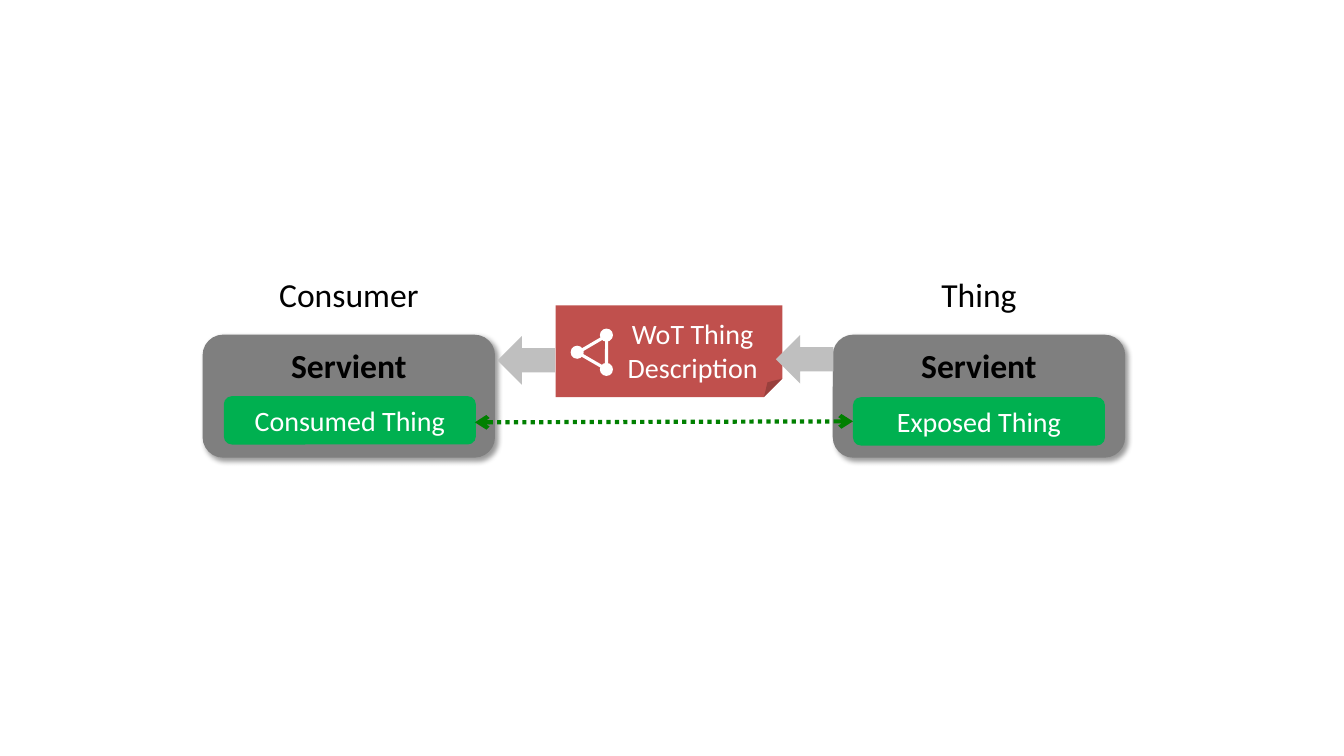
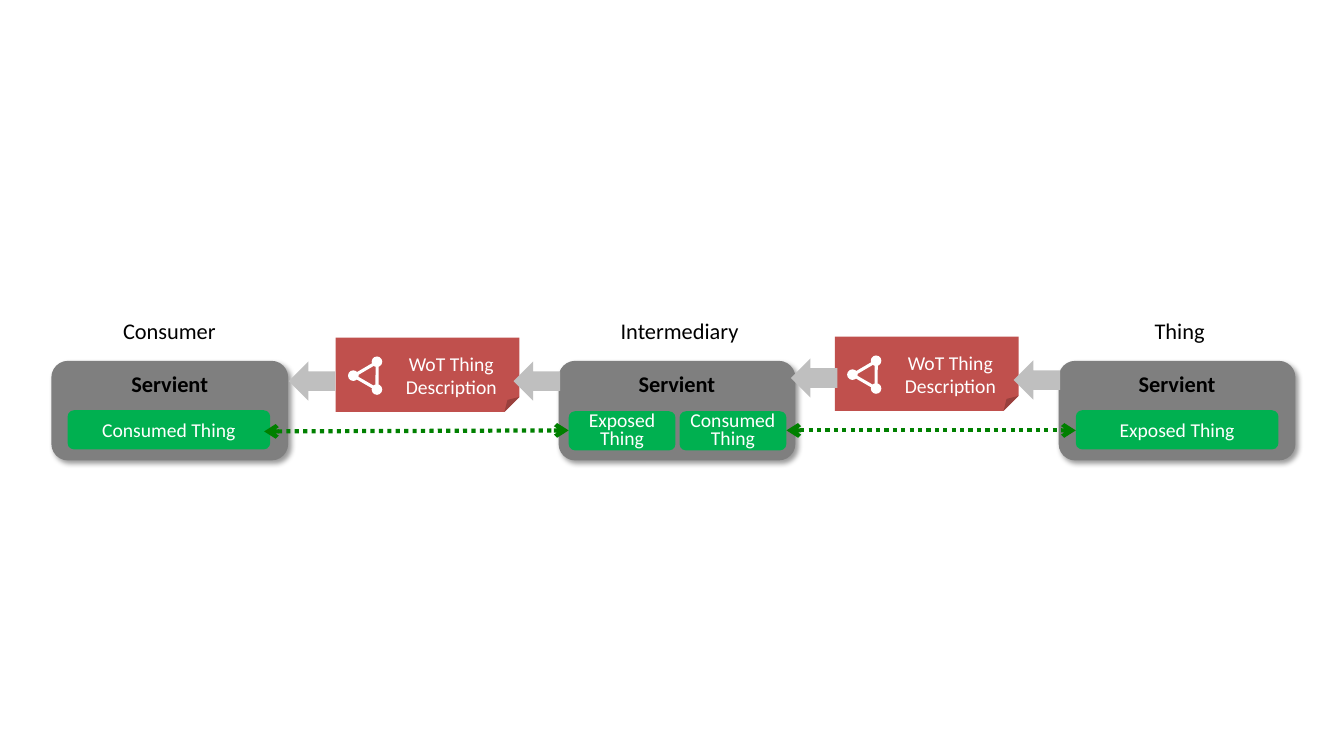
from dataclasses import dataclass
from typing import NamedTuple

from lxml.etree import SubElement
from pptx import Presentation
from pptx.dml.color import RGBColor
from pptx.enum.dml import MSO_LINE
from pptx.enum.shapes import MSO_CONNECTOR, MSO_SHAPE
from pptx.enum.text import MSO_ANCHOR, MSO_AUTO_SIZE, PP_ALIGN
from pptx.oxml.ns import qn
from pptx.util import Inches, Pt

FONT = "Calibri"
COLORS = {
    "servient": "7F7F7F",
    "thing": "00B050",
    "description": "C0504D",
    "arrow": "BFBFBF",
    "link": "008000",
    "light": "FFFFFF",
    "dark": "000000",
}

# Sizes at full scale, in inches
SERVIENT_SIZE = (2.9, 1.22)
THING_HEIGHT = 0.48
DESCRIPTION_SIZE = (2.25, 0.91)
ARROW_SIZE = (0.48, 0.57)
TRIANGLE = (0.27, 0.28, 0.33, 0.29)
DOT_SIZE = 0.13
DOTS = ((0.44, 0.23), (0.15, 0.4), (0.44, 0.57))


class Point(NamedTuple):
    x: float
    y: float


class Role(NamedTuple):
    label: str
    center: float
    width: float
    servient: Point


class Thing(NamedTuple):
    lines: tuple[str, ...]
    at: Point
    width: float


class Link(NamedTuple):
    start: Point
    end: Point


@dataclass
class Diagram:
    scale: float
    heading_size: int
    body_size: int
    label_top: float
    label_height: float
    roles: list[Role]
    things: list[Thing]
    links: list[Link]
    descriptions: list[Point]
    arrows: list[Point]


DIAGRAMS = [
    Diagram(
        scale=1, heading_size=24, body_size=20, label_top=2.67, label_height=0.5,
        roles=[
            Role("Consumer", 3.46, 1.6, Point(2.01, 3.32)),
            Role("Thing", 9.71, 0.96, Point(8.26, 3.32)),
        ],
        things=[
            Thing(("Consumed Thing",), Point(2.22, 3.93), 2.5),
            Thing(("Exposed Thing",), Point(8.46, 3.94), 2.5),
        ],
        links=[Link(Point(4.71, 4.19), Point(8.46, 4.18))],
        descriptions=[Point(5.51, 3.03)],
        arrows=[Point(7.74, 3.28), Point(4.98, 3.29)],
    ),
    Diagram(
        scale=0.81, heading_size=16, body_size=14, label_top=3.1, label_height=0.37,
        roles=[
            Role("Consumer", 1.68, 1.13, Point(0.51, 3.58)),
            Role("Intermediary", 6.74, 1.39, Point(5.54, 3.58)),
            Role("Thing", 11.7, 0.7, Point(10.5, 3.58)),
        ],
        things=[
            Thing(("Consumed Thing",), Point(0.67, 4.07), 2.01),
            Thing(("Exposed", "Thing"), Point(5.64, 4.08), 1.06),
            Thing(("Consumed", "Thing"), Point(6.74, 4.08), 1.06),
            Thing(("Exposed Thing",), Point(10.67, 4.07), 2.01),
        ],
        links=[
            Link(Point(2.62, 4.28), Point(5.64, 4.27)),
            Link(Point(7.8, 4.27), Point(10.67, 4.27)),
        ],
        descriptions=[Point(3.33, 3.35), Point(8.28, 3.34)],
        arrows=[Point(5.13, 3.55), Point(2.9, 3.55), Point(10.09, 3.54), Point(7.88, 3.52)],
    ),
]


def rgb(name: str) -> RGBColor:
    return RGBColor.from_string(COLORS[name])


def add_block(shapes, kind, at: Point, width: float, height: float,
              fill: str | None = None, rotation: float = 0):
    """Add a preset shape without outline or shadow."""
    block = shapes.add_shape(kind, Inches(at.x), Inches(at.y), Inches(width), Inches(height))
    block.rotation = rotation
    block.shadow.inherit = False
    block.line.fill.background()
    if fill:
        block.fill.solid()
        block.fill.fore_color.rgb = rgb(fill)
    else:
        block.fill.background()
    return block


def write(shape, lines: tuple[str, ...], size: int, color: str, bold: bool = False,
          anchor=MSO_ANCHOR.MIDDLE, insets: tuple[float, ...] = (0.1, 0.05, 0.1, 0.05)) -> None:
    """Fill a shape with centred paragraphs; stacked lines are set tighter."""
    frame = shape.text_frame
    frame.word_wrap = False
    frame.vertical_anchor = anchor
    (frame.margin_left, frame.margin_top,
     frame.margin_right, frame.margin_bottom) = map(Inches, insets)
    for index, line in enumerate(lines):
        paragraph = frame.add_paragraph() if index else frame.paragraphs[0]
        paragraph.text = line
        paragraph.alignment = PP_ALIGN.CENTER
        if len(lines) > 1:
            paragraph.line_spacing = 0.8
        paragraph.font.name = FONT
        paragraph.font.size = Pt(size)
        paragraph.font.bold = bold
        paragraph.font.color.rgb = rgb(color)


def add_soft_shadow(shape) -> None:
    effects = shape.element.spPr.find(qn("a:effectLst"))
    shadow = SubElement(effects, qn("a:outerShdw"), blurRad=str(Pt(4)), dist=str(Pt(3)),
                        dir="2700000", algn="tl", rotWithShape="0")
    color = SubElement(shadow, qn("a:srgbClr"), val=COLORS["dark"])
    SubElement(color, qn("a:alpha"), val="40000")


def add_servient(shapes, at: Point, diagram: Diagram) -> None:
    width, height = (side * diagram.scale for side in SERVIENT_SIZE)
    servient = add_block(shapes, MSO_SHAPE.ROUNDED_RECTANGLE, at, width, height, "servient")
    add_soft_shadow(servient)
    write(servient, ("Servient",), diagram.heading_size, "dark", bold=True,
          anchor=MSO_ANCHOR.TOP, insets=(0.08, 0.04, 0.08, 0.04))


def add_thing(shapes, thing: Thing, diagram: Diagram) -> None:
    chip = add_block(shapes, MSO_SHAPE.ROUNDED_RECTANGLE, thing.at, thing.width,
                     THING_HEIGHT * diagram.scale, "thing")
    write(chip, thing.lines, diagram.body_size, "light")


def add_link(shapes, link: Link) -> None:
    """Add a dotted line with an arrowhead at both ends."""
    connector = shapes.add_connector(MSO_CONNECTOR.STRAIGHT, Inches(link.start.x),
                                     Inches(link.start.y), Inches(link.end.x), Inches(link.end.y))
    connector.line.color.rgb = rgb("link")
    connector.line.width = Pt(3)
    connector.line.dash_style = MSO_LINE.ROUND_DOT
    properties = connector.element.spPr
    for end in ("a:headEnd", "a:tailEnd"):
        SubElement(properties.find(qn("a:ln")), qn(end), type="arrow")
    SubElement(properties, qn("a:effectLst"))


def add_description(shapes, at: Point, diagram: Diagram) -> None:
    """Add a folded note with a graph icon, as one group."""
    scale = diagram.scale
    parts = shapes.add_group_shape().shapes
    width, height = (side * scale for side in DESCRIPTION_SIZE)
    note = add_block(parts, MSO_SHAPE.FOLDED_CORNER, at, width, height, "description")
    # python-pptx offers no adjustment for the size of this fold
    guides = note.element.spPr.find(qn("a:prstGeom")).find(qn("a:avLst"))
    SubElement(guides, qn("a:gd"), name="adj", fmla="val 20200")
    write(note, ("WoT Thing\nDescription",), diagram.body_size, "light",
          insets=(0.47, 0.16, 0, 0))

    # Graph icon
    left, top, width, height = (length * scale for length in TRIANGLE)
    edges = add_block(parts, MSO_SHAPE.ISOSCELES_TRIANGLE, Point(at.x + left, at.y + top),
                      width, height, rotation=30)
    edges.line.color.rgb = rgb("light")
    edges.line.width = Pt(2.25)
    for x, y in DOTS:
        add_block(parts, MSO_SHAPE.OVAL, Point(at.x + x * scale, at.y + y * scale),
                  DOT_SIZE * scale, DOT_SIZE * scale, "light")


def add_arrow(shapes, at: Point, scale: float) -> None:
    width, height = (side * scale for side in ARROW_SIZE)
    add_block(shapes, MSO_SHAPE.DOWN_ARROW, at, width, height, "arrow", rotation=90)


def add_label(shapes, role: Role, diagram: Diagram) -> None:
    label = shapes.add_textbox(Inches(role.center - role.width / 2), Inches(diagram.label_top),
                               Inches(role.width), Inches(diagram.label_height))
    write(label, (role.label,), diagram.heading_size, "dark", anchor=MSO_ANCHOR.TOP)
    label.text_frame.auto_size = MSO_AUTO_SIZE.SHAPE_TO_FIT_TEXT


def draw(shapes, diagram: Diagram) -> None:
    for role in diagram.roles:
        add_servient(shapes, role.servient, diagram)
    for thing in diagram.things:
        add_thing(shapes, thing, diagram)
    for link in diagram.links:
        add_link(shapes, link)
    for at in diagram.descriptions:
        add_description(shapes, at, diagram)
    for at in diagram.arrows:
        add_arrow(shapes, at, diagram.scale)
    for role in diagram.roles:
        add_label(shapes, role, diagram)


def main() -> None:
    deck = Presentation()
    deck.slide_width, deck.slide_height = Inches(13.33), Inches(7.5)
    for diagram in DIAGRAMS:
        draw(deck.slides.add_slide(deck.slide_layouts[6]).shapes, diagram)
    deck.save("out.pptx")


if __name__ == "__main__":
    main()
